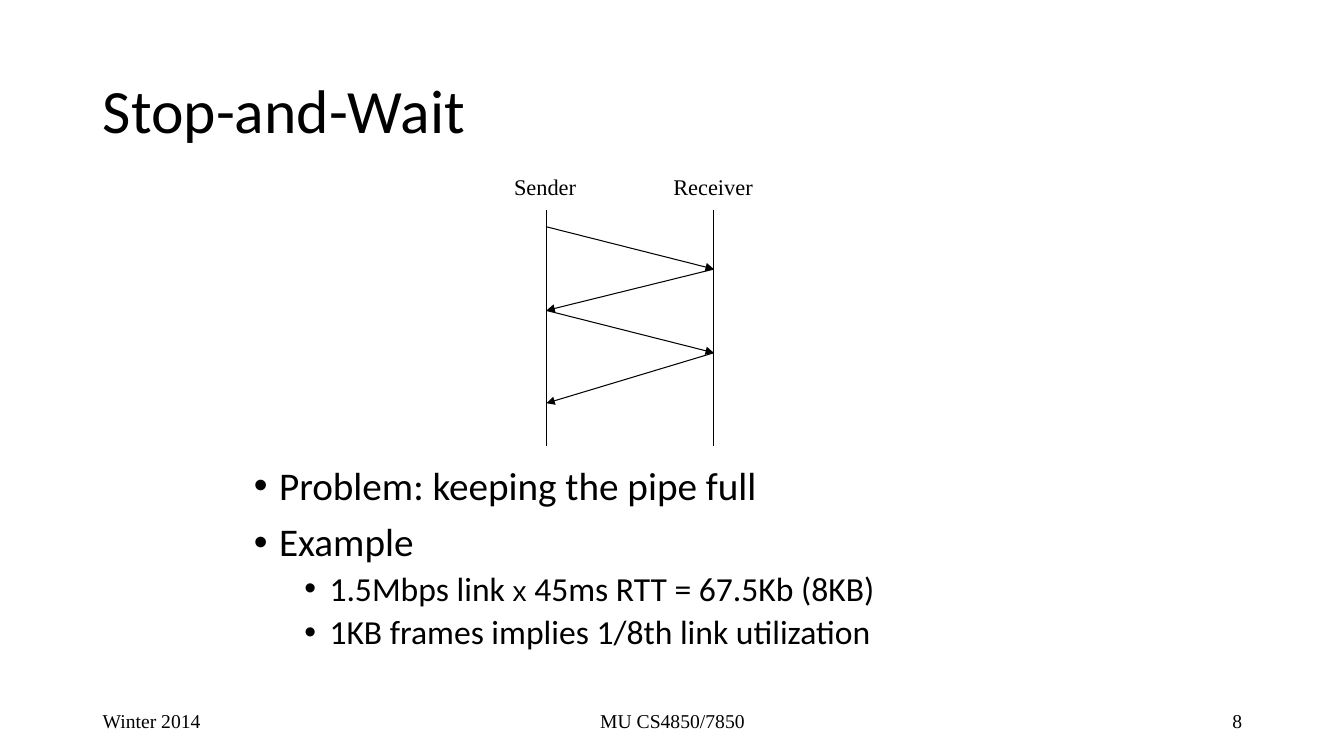
from dataclasses import dataclass

import pptx
import pptx.dml.color
import pptx.enum.shapes
import pptx.enum.text
import pptx.oxml.ns
import pptx.util
from lxml import etree

PX = 9144  # EMU per px, 100 px to the inch
COLORS = {"ink": "000000", "paper": "FFFFFF"}
SANS, SERIF = "Calibri", "Times New Roman"
ALIGN = pptx.enum.text.PP_ALIGN
ANCHOR = pptx.enum.text.MSO_ANCHOR
AUTO_SIZE = pptx.enum.text.MSO_AUTO_SIZE

SENDER_X, RECEIVER_X = 542, 708
TIMELINE_TOP, TIMELINE_BOTTOM = 208, 442
MESSAGE_TIMES = [225, 267, 308, 350, 400]


@dataclass
class Label:
    text: str
    left: int
    top: int
    width: int
    height: int
    size: int
    align: ALIGN = ALIGN.LEFT
    anchor: ANCHOR = ANCHOR.TOP
    wrap: bool = True


@dataclass
class Run:
    text: str
    size: int
    font: str = SANS


@dataclass
class Bullet:
    runs: list[Run]
    level: int = 0


LABELS = [
    Label("Sender", 500, 167, 82, 37, 16, wrap=False),
    Label("Receiver", 658, 167, 99, 37, 16, wrap=False),
    Label("Winter 2014", 92, 695, 300, 40, 14, anchor=ANCHOR.MIDDLE),
    Label("MU CS4850/7850", 442, 695, 450, 40, 14, ALIGN.CENTER, ANCHOR.MIDDLE),
    Label("8", 942, 695, 300, 40, 14, ALIGN.RIGHT, ANCHOR.MIDDLE),
]

BULLETS = [
    Bullet([Run("Problem: keeping the pipe full", 28)]),
    Bullet([Run("Example", 28)]),
    Bullet([Run("1.5Mbps link ", 24), Run("x", 20, "Arial"),
            Run(" 45ms RTT = 67.5Kb (8KB)", 24)], level=1),
    Bullet([Run("1KB frames implies 1/8th link utilization", 24)], level=1),
]


def px(length: int) -> pptx.util.Emu:
    return pptx.util.Emu(length * PX)


def color(name: str) -> pptx.dml.color.RGBColor:
    return pptx.dml.color.RGBColor.from_string(COLORS[name])


def set_font(font, name: str, size: int) -> None:
    font.name = name
    font.size = pptx.util.Pt(size)
    font.color.rgb = color("ink")


def add_label(slide, label: Label) -> None:
    box = slide.shapes.add_textbox(
        px(label.left), px(label.top), px(label.width), px(label.height))
    frame = box.text_frame
    frame.word_wrap = label.wrap
    frame.vertical_anchor = label.anchor
    paragraph = frame.paragraphs[0]
    paragraph.text = label.text
    paragraph.alignment = label.align
    set_font(paragraph.font, SERIF, label.size)


def add_line(slide, x1: int, y1: int, x2: int, y2: int, arrow: bool = False) -> None:
    connector = slide.shapes.add_connector(
        pptx.enum.shapes.MSO_CONNECTOR.STRAIGHT, px(x1), px(y1), px(x2), px(y2))
    connector.line.color.rgb = color("ink")
    connector.line.width = pptx.util.Pt(0.75)
    if arrow:
        etree.SubElement(connector.line._get_or_add_ln(),
                         pptx.oxml.ns.qn("a:tailEnd"), type="triangle")
    etree.SubElement(connector._element.spPr, pptx.oxml.ns.qn("a:effectLst"))


def add_bullet(paragraph, bullet: Bullet) -> None:
    paragraph.level = bullet.level
    paragraph.line_spacing = 0.9
    paragraph.space_before = pptx.util.Pt(5 if bullet.level else 10)
    properties = paragraph._p.get_or_add_pPr()
    properties.set("marL", str(px(25 + 50 * bullet.level)))
    properties.set("indent", str(px(-25)))
    etree.SubElement(properties, pptx.oxml.ns.qn("a:buFont"), typeface="Arial")
    etree.SubElement(properties, pptx.oxml.ns.qn("a:buChar"), char="•")
    for part in bullet.runs:
        run = paragraph.add_run()
        run.text = part.text
        set_font(run.font, part.font, part.size)


def main() -> None:
    presentation = pptx.Presentation()
    presentation.slide_width, presentation.slide_height = px(1333), px(750)
    slide = presentation.slides.add_slide(presentation.slide_layouts[5])
    slide.background.fill.solid()
    slide.background.fill.fore_color.rgb = color("paper")

    # Title
    title = slide.shapes.title
    title.left, title.top, title.width, title.height = px(92), px(40), px(1150), px(145)
    title.text_frame.auto_size = AUTO_SIZE.NONE
    title.text_frame.vertical_anchor = ANCHOR.MIDDLE
    heading = title.text_frame.paragraphs[0]
    heading.text = "Stop-and-Wait"
    heading.alignment = ALIGN.LEFT
    heading.line_spacing = 0.9
    set_font(heading.font, SANS, 44)

    # Bulleted body
    body = slide.shapes.add_textbox(px(242), px(458), px(850), px(225)).text_frame
    body.word_wrap = True
    for index, bullet in enumerate(BULLETS):
        paragraph = body.add_paragraph() if index else body.paragraphs[0]
        add_bullet(paragraph, bullet)

    # Timelines, then messages that alternate in direction
    for x in (SENDER_X, RECEIVER_X):
        add_line(slide, x, TIMELINE_TOP, x, TIMELINE_BOTTOM)
    start_x, end_x = SENDER_X, RECEIVER_X
    for sent, received in zip(MESSAGE_TIMES, MESSAGE_TIMES[1:]):
        add_line(slide, start_x, sent, end_x, received, arrow=True)
        start_x, end_x = end_x, start_x

    # Diagram labels and footer
    for label in LABELS:
        add_label(slide, label)

    presentation.save("out.pptx")


if __name__ == "__main__":
    main()
